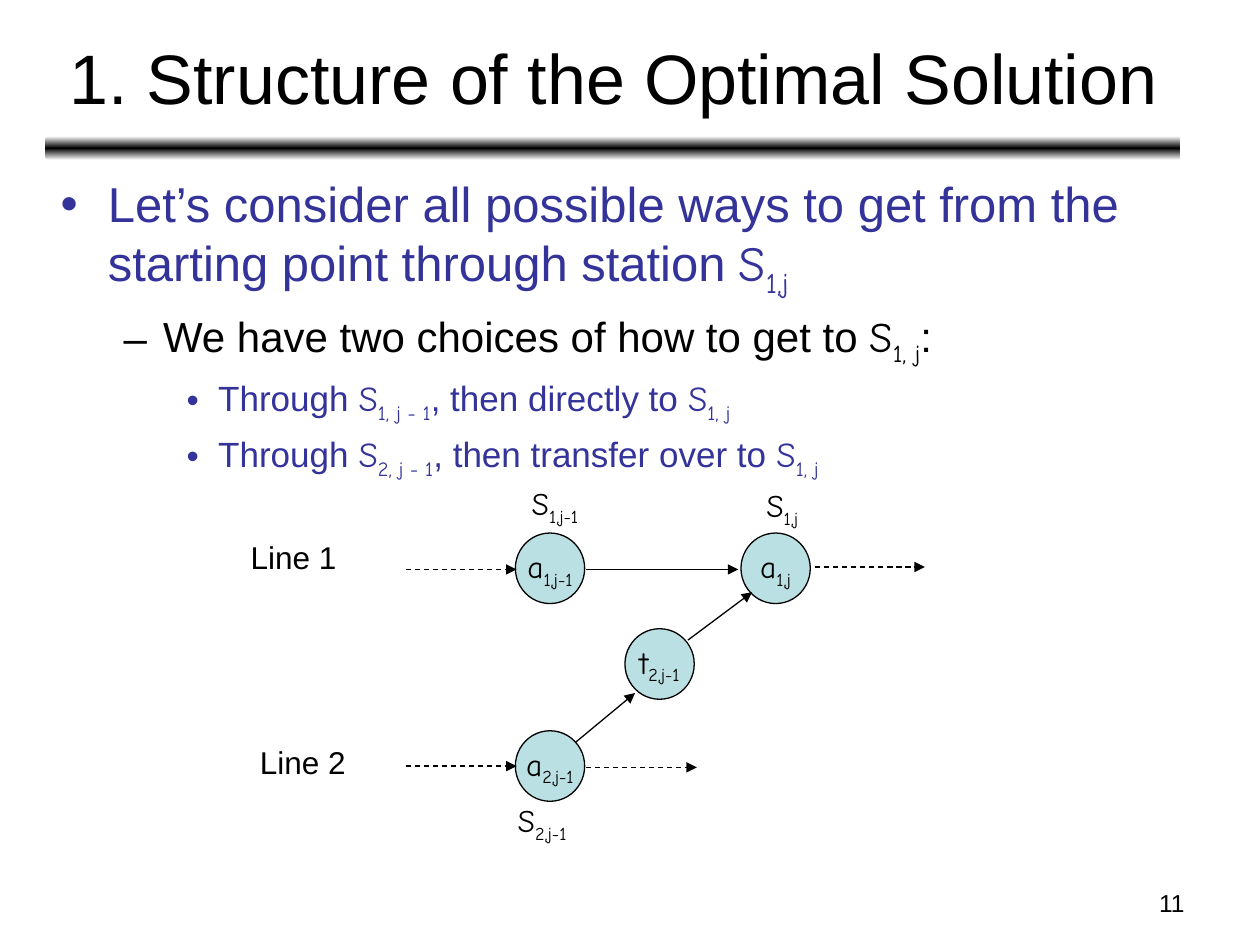
from copy import deepcopy
from dataclasses import dataclass

from lxml import etree
from pptx import Presentation
from pptx.dml.color import RGBColor
from pptx.enum.dml import MSO_LINE
from pptx.enum.shapes import MSO_CONNECTOR, MSO_SHAPE
from pptx.enum.text import MSO_ANCHOR, MSO_AUTO_SIZE, PP_ALIGN
from pptx.oxml.ns import qn
from pptx.util import Pt

LEFT, CENTER, RIGHT = PP_ALIGN.LEFT, PP_ALIGN.CENTER, PP_ALIGN.RIGHT
TOP, MIDDLE = MSO_ANCHOR.TOP, MSO_ANCHOR.MIDDLE
FIT_SHAPE = MSO_AUTO_SIZE.SHAPE_TO_FIT_TEXT
DASH, STRAIGHT = MSO_LINE.DASH, MSO_CONNECTOR.STRAIGHT
OVAL, ROUNDED = MSO_SHAPE.OVAL, MSO_SHAPE.ROUNDED_RECTANGLE


@dataclass(frozen=True)
class Theme:
    ink: RGBColor = RGBColor(0, 0, 0)
    paper: RGBColor = RGBColor(255, 255, 255)
    accent: RGBColor = RGBColor(0x33, 0x33, 0x99)
    station: RGBColor = RGBColor(0xBB, 0xE0, 0xE3)
    font: str = "Arial"
    symbol_font: str = "Comic Neue"
    title: int = 40
    points: tuple = (28, 24, 20)
    label: int = 18
    page: int = 14
    line: float = 0.75


THEME = Theme()
STATION_WIDTH, STATION_HEIGHT = 39.6, 40.3

POINTS = [
    (0, "Let’s consider all possible ways to get from the starting point "
        "through station |S_1,j|"),
    (1, "We have two choices of how to get to |S_1, j|:"),
    (2, "Through |S_1, j - 1|, then directly to |S_1, j|"),
    (2, "Through |S_2, j - 1|, then transfer over to |S_1, j|"),
]
LEVELS = [
    ("•", THEME.accent, 27, -27, 7),
    ("–", THEME.ink, 58.5, -22.5, 6),
    ("•", THEME.accent, 90, -18, 5),
]
STATIONS = [
    ("|a_1,j|", 423.4, 304.6),
    ("|a_1,j-1|", 294.5, 304.6),
    ("|a_2,j-1|", 294.5, 417.6),
    ("|t_2,j-1|", 357.1, 359.3),
]
LABELS = [
    ("|S_1,j|", 430.8, 274.3, 36, 31.7),
    ("|S_1,j-1|", 296.8, 272.9, 44, 31.7),
    ("|S_2,j-1|", 288.8, 454.3, 45, 31.7),
    ("Line 1", 136.1, 303.8, 64, 28.8),
    ("Line 2", 141.4, 420.8, 64, 28.8),
]
ROUTES = [
    (231.8, 325.4, 295.2, 325.4, True),
    (231.8, 437.8, 295.2, 437.8, True),
    (334.8, 325.4, 421.9, 325.4, False),
    (329, 424.1, 362.9, 396, False),
    (393.1, 365.8, 429.8, 338.4, False),
    (465.8, 324, 528.5, 324, True),
    (334.8, 438.5, 398.2, 438.5, True),
]


def add_run(paragraph, text, size, color, font, subscript=False):
    run = paragraph.add_run()
    run.text = text
    run.font.size = Pt(size)
    run.font.name = font
    run.font.color.rgb = color
    if subscript:
        run.font._element.set("baseline", "-25000")


def write_text(paragraph, text, *, size, color=THEME.ink, align=LEFT):
    """Write text in which |S_1,j| stands for a symbol with its subscript."""
    paragraph.alignment = align
    for index, part in enumerate(text.split("|")):
        if index % 2:
            symbol, subscript = part.split("_")
            add_run(paragraph, symbol, size, color, THEME.symbol_font)
            add_run(paragraph, subscript, size, color, THEME.symbol_font, True)
        elif part:
            add_run(paragraph, part, size, color, THEME.font)


def add_text_frame(slide, left, top, width, height, wrap=True, anchor=TOP):
    frame = slide.shapes.add_textbox(
        Pt(left), Pt(top), Pt(width), Pt(height)).text_frame
    frame.word_wrap = wrap
    frame.vertical_anchor = anchor
    return frame


def add_divider(slide):
    divider = slide.shapes.add_shape(ROUNDED, Pt(26), Pt(77.8), Pt(648.7), Pt(13.7))
    divider.shadow.inherit = False
    divider.line.fill.background()
    divider.fill.gradient()
    divider.fill.gradient_angle = 90
    edge, middle = divider.fill.gradient_stops
    edge.color.rgb, edge.position = THEME.paper, 0
    middle.color.rgb, middle.position = THEME.ink, 0.5
    first_stop = edge._gs
    last_stop = deepcopy(first_stop)
    last_stop.set("pos", "100000")
    first_stop.getparent().append(last_stop)


def add_points(slide):
    frame = add_text_frame(slide, 27.6, 95.8, 652.3, 399.6)
    for index, (level, text) in enumerate(POINTS):
        bullet, color, margin, indent, space = LEVELS[level]
        paragraph = frame.paragraphs[0] if index == 0 else frame.add_paragraph()
        paragraph.level = level
        paragraph.space_before = Pt(space)
        write_text(paragraph, text, size=THEME.points[level], color=color)
        properties = paragraph._p.get_or_add_pPr()
        properties.set("marL", str(Pt(margin)))
        properties.set("indent", str(Pt(indent)))
        bullet_color = etree.SubElement(properties, qn("a:buClr"))
        etree.SubElement(bullet_color, qn("a:srgbClr"), val=str(color))
        etree.SubElement(properties, qn("a:buFont"), typeface=THEME.font)
        etree.SubElement(properties, qn("a:buChar"), char=bullet)


def add_station(slide, text, left, top):
    station = slide.shapes.add_shape(
        OVAL, Pt(left), Pt(top), Pt(STATION_WIDTH), Pt(STATION_HEIGHT))
    station.shadow.inherit = False
    station.fill.solid()
    station.fill.fore_color.rgb = THEME.station
    station.line.color.rgb = THEME.ink
    station.line.width = Pt(THEME.line)
    station.text_frame.word_wrap = False
    station.text_frame.vertical_anchor = MIDDLE
    write_text(station.text_frame.paragraphs[0], text, size=THEME.label, align=CENTER)


def add_label(slide, text, *place):
    frame = add_text_frame(slide, *place, wrap=False)
    frame.auto_size = FIT_SHAPE
    write_text(frame.paragraphs[0], text, size=THEME.label)


def add_route(slide, x1, y1, x2, y2, dashed):
    route = slide.shapes.add_connector(STRAIGHT, Pt(x1), Pt(y1), Pt(x2), Pt(y2))
    route.line.color.rgb = THEME.ink
    route.line.width = Pt(THEME.line)
    if dashed:
        route.line.dash_style = DASH
    etree.SubElement(route.line._get_or_add_ln(), qn("a:tailEnd"), type="triangle")
    etree.SubElement(route._element.spPr, qn("a:effectLst"))


def main():
    deck = Presentation()
    deck.slide_width, deck.slide_height = Pt(720), Pt(540)
    slide = deck.slides.add_slide(deck.slide_layouts[6])
    add_divider(slide)
    page = add_text_frame(slide, 516.2, 504, 167.8, 25.2)
    write_text(page.paragraphs[0], "11", size=THEME.page, align=RIGHT)
    title = add_text_frame(slide, 26.6, 7.9, 648, 71.3, anchor=MIDDLE)
    write_text(title.paragraphs[0], "1. Structure of the Optimal Solution",
               size=THEME.title, align=CENTER)
    add_points(slide)
    for station in STATIONS:
        add_station(slide, *station)
    for label in LABELS:
        add_label(slide, *label)
    for route in ROUTES:
        add_route(slide, *route)
    deck.save("out.pptx")


if __name__ == "__main__":
    main()
